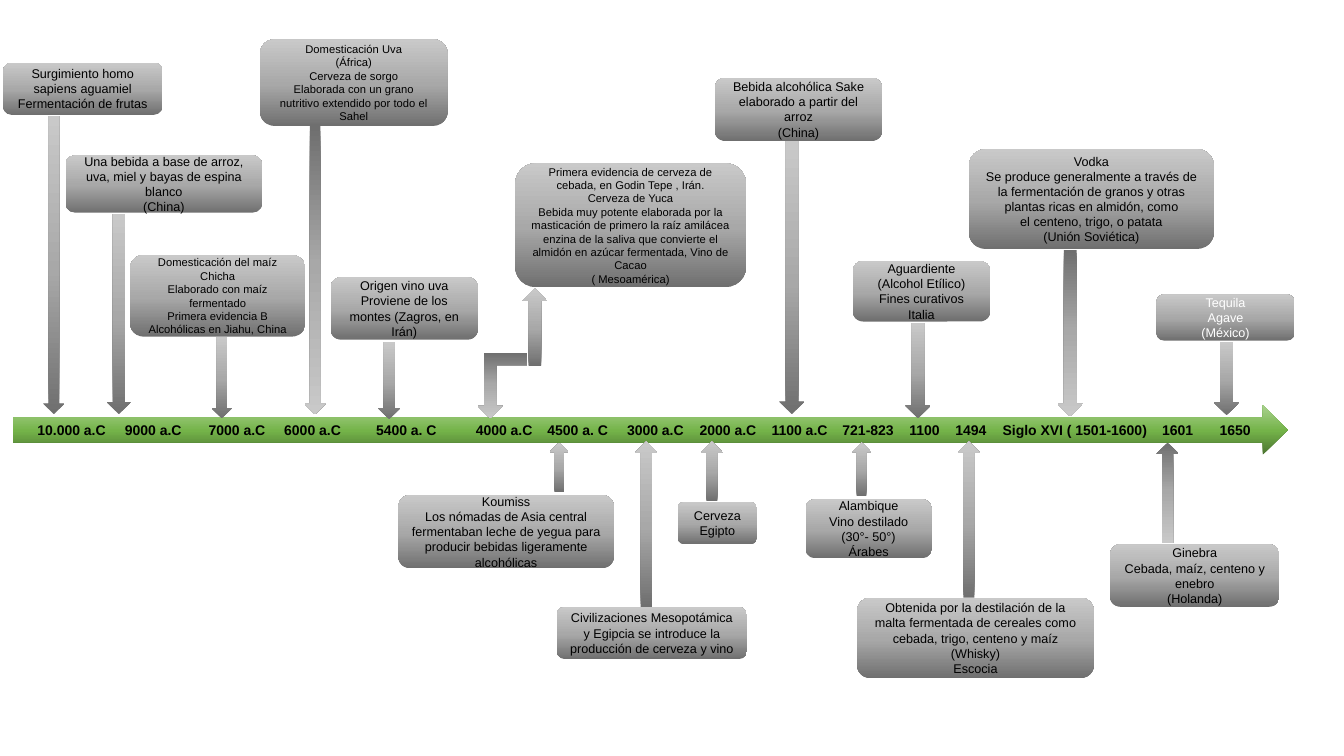
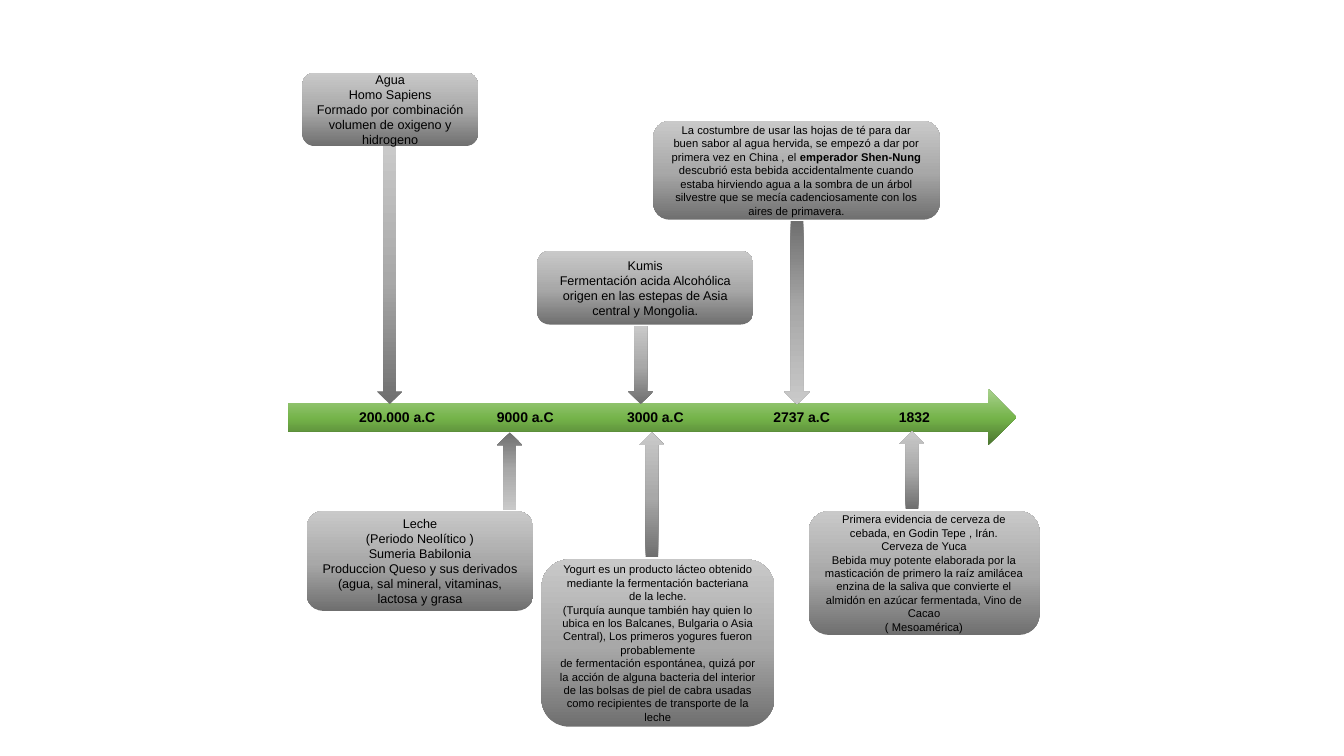
from copy import deepcopy

from lxml import etree
from pptx import Presentation
from pptx.dml.color import RGBColor
from pptx.enum.shapes import MSO_SHAPE
from pptx.enum.text import MSO_ANCHOR, PP_ALIGN
from pptx.oxml.ns import qn
from pptx.util import Inches, Pt

BOX = MSO_SHAPE.ROUNDED_RECTANGLE
AXIS = MSO_SHAPE.RIGHT_ARROW
DOWN = MSO_SHAPE.DOWN_ARROW
UP = MSO_SHAPE.UP_ARROW
BENT = MSO_SHAPE.BENT_UP_ARROW
MIDDLE = MSO_ANCHOR.MIDDLE
CENTER, LEFT = PP_ALIGN.CENTER, PP_ALIGN.LEFT

FONT = "Arial"
BLACK, WHITE = "000000", "FFFFFF"
GREEN = [(0, "4B7430"), (0.48, "74B349"), (1, "A9D18E")]
GRAY = [(0, "6F6F6F"), (0.48, "A8A8A8"), (1, "C9C9C9")]
NBSP = chr(160)

YUCA_BEER = [
    "Primera evidencia de cerveza de cebada, en Godin Tepe , Irán.",
    "Cerveza de Yuca",
    "Bebida muy potente elaborada por la masticación de primero la raíz amilácea "
    "enzina de la saliva que convierte el almidón en azúcar fermentada, Vino de Cacao",
    "( Mesoamérica)",
]

# Axis: left, top, width, height. Dates: centre from the slide's left edge, label.
# Arrows: shape, left, top, width, height, rotation.
# Boxes: left, top, width, height, text size, paragraphs (*bold*), optional colour.
ALCOHOL = {
    "axis": (0.13, 4.02, 12.64, 0.49),
    "dates": [
        (0.71, "10.000 a.C"), (1.52, "9000 a.C"), (2.35, "7000 a.C"),
        (3.1, "6000 a.C"), (4.03, "5400 a. C"), (5, "4000 a.C"),
        (5.73, "4500 a. C"), (6.5, "3000 a.C"), (7.22, "2000 a.C"),
        (7.93, "1100 a.C"), (8.61, "721-823"), (9.17, "1100"), (9.63, "1494"),
        (10.66, "Siglo XVI ( 1501-1600)"), (11.68, "1601"), (12.25, "1650"),
    ],
    "arrows": [
        (DOWN, 0.43, 1.15, 0.21, 2.96, 0),
        (DOWN, 1.06, 2.12, 0.24, 1.99, 0),
        (DOWN, 2.1, 3.34, 0.2, 0.81, 0),
        (UP, 3.02, 1.25, 0.21, 2.86, 180),
        (DOWN, 3.75, 3.39, 0.22, 0.77, 0),
        (UP, 5.18, 2.86, 0.25, 0.77, 0),
        (BENT, 4.74, 3.5, 0.49, 0.65, 180),
        (DOWN, 7.73, 1.4, 0.25, 2.71, 0),
        (DOWN, 8.98, 3.2, 0.25, 0.95, 0),
        (UP, 10.49, 2.48, 0.25, 1.65, 180),
        (DOWN, 12.04, 3.39, 0.25, 0.73, 0),
        (UP, 5.45, 4.39, 0.19, 0.49, 0),
        (UP, 6.3, 4.38, 0.22, 1.64, 0),
        (UP, 6.95, 4.38, 0.22, 0.59, 0),
        (UP, 8.45, 4.39, 0.19, 0.53, 0),
        (UP, 9.5, 4.38, 0.22, 1.55, 0),
        (DOWN, 11.47, 4.39, 0.22, 1, 180),
    ],
    "boxes": [
        (0.03, 0.62, 1.58, 0.52, 9,
         ["Surgimiento homo sapiens aguamiel", "Fermentación de frutas"]),
        (0.65, 1.54, 1.95, 0.57, 9,
         ["Una bebida a base de arroz, uva, miel y bayas de espina blanco", "(China)"]),
        (1.29, 2.53, 1.74, 0.81, 8,
         ["Domesticación del maíz", "Chicha", "Elaborado con maíz fermentado",
          "Primera evidencia B Alcohólicas en Jiahu, China"]),
        (2.58, 0.39, 1.86, 0.86, 8,
         ["Domesticación Uva", "(África)", "Cerveza de sorgo",
          "Elaborada con un grano nutritivo extendido por todo el Sahel"]),
        (3.28, 2.75, 1.46, 0.62, 9,
         ["Origen vino uva", "Proviene de los montes (Zagros, en Irán)"]),
        (5.11, 1.62, 2.29, 1.23, 8, YUCA_BEER),
        (7.09, 0.77, 1.66, 0.63, 9,
         ["Bebida alcohólica Sake elaborado a partir del arroz", "(China)"]),
        (8.46, 2.59, 1.36, 0.6, 9,
         ["Aguardiente (Alcohol Etílico)", "Fines curativos", "Italia"]),
        (9.61, 1.48, 2.43, 0.99, 9,
         ["Vodka",
          "Se produce generalmente a través de la fermentación de granos y otras "
          f"plantas ricas en almidón, como el{NBSP}centeno, trigo, o patata",
          "(Unión Soviética)"]),
        (11.47, 2.92, 1.37, 0.46, 9, ["Tequila", "Agave", "(México)"], WHITE),
        (3.95, 4.91, 2.14, 0.73, 9,
         ["Koumiss",
          "Los nómadas de Asia central fermentaban leche de yegua para producir "
          "bebidas ligeramente alcohólicas"]),
        (5.52, 6.02, 1.89, 0.52, 9,
         ["Civilizaciones Mesopotámica y Egipcia se introduce la producción de "
          "cerveza y vino"]),
        (6.72, 4.98, 0.79, 0.42, 9, ["Cerveza Egipto"]),
        (7.99, 4.95, 1.25, 0.59, 9,
         ["Alambique", "Vino destilado (30°- 50°)", "Árabes"]),
        (8.5, 5.93, 2.35, 0.8, 9,
         ["Obtenida por la destilación de la malta fermentada de cereales como "
          "cebada, trigo, centeno y maíz", "(Whisky)", "Escocia"]),
        (11.01, 5.4, 1.68, 0.62, 9,
         ["Ginebra", "Cebada, maíz, centeno y enebro", "(Holanda)"]),
    ],
}

OTHER_DRINKS = {
    "axis": (2.86, 3.86, 7.22, 0.56),
    "dates": [
        (3.94, "200.000 a.C"), (5.21, "9000 a.C"), (6.5, "3000 a.C"),
        (7.95, "2737 a.C"), (9.07, "1832"),
    ],
    "arrows": [
        (DOWN, 3.74, 1.45, 0.25, 2.56, 0),
        (DOWN, 6.23, 3.23, 0.25, 0.78, 0),
        (UP, 7.78, 2.19, 0.25, 1.82, 180),
        (DOWN, 4.93, 4.29, 0.25, 0.77, 180),
        (UP, 6.34, 4.29, 0.25, 1.24, 0),
        (UP, 8.92, 4.28, 0.25, 0.77, 0),
    ],
    "boxes": [
        (3, 0.72, 1.74, 0.73, 9,
         ["Agua", "Homo Sapiens",
          "Formado por combinación volumen de oxigeno y hidrogeno"]),
        (5.33, 2.49, 2.14, 0.73, 9,
         ["Kumis", "Fermentación acida Alcohólica",
          "origen en las estepas de Asia central y Mongolia."]),
        (6.48, 1.2, 2.84, 0.98, 8,
         ["La costumbre de usar las hojas de té para dar buen sabor al agua hervida, "
          "se empezó a dar por primera vez en China , el *emperador Shen-Nung* "
          "descubrió esta bebida accidentalmente cuando estaba hirviendo agua a la "
          "sombra de un árbol silvestre que se mecía cadenciosamente con los aires "
          "de primavera."]),
        (3.04, 5.07, 2.25, 0.99, 9,
         ["Leche", "(Periodo Neolítico )", "Sumeria Babilonia",
          "Produccion Queso y sus derivados",
          "(agua, sal mineral, vitaminas, lactosa y grasa"]),
        (5.37, 5.55, 2.31, 1.66, 8,
         ["Yogurt es un producto lácteo obtenido mediante la fermentación "
          "bacteriana de la leche.",
          "(Turquía aunque también hay quien lo ubica en los Balcanes, Bulgaria o "
          "Asia Central), Los primeros yogures fueron probablemente "
          f"de{NBSP}fermentación{NBSP}espontánea, quizá por la acción de alguna "
          "bacteria del interior de las bolsas de piel de cabra usadas como "
          "recipientes de transporte de la leche"]),
        (8.02, 5.07, 2.29, 1.23, 8, YUCA_BEER),
    ],
}


def rgb(color):
    return RGBColor.from_string(color)


def fill_gradient(sp, stops):
    """Fill the shape from bottom to top with (position, colour) stops."""
    sp.fill.gradient()
    sp.fill.gradient_angle = 90
    gs_list = sp.fill._fill._gradFill.find(qn("a:gsLst"))
    while len(gs_list) < len(stops):
        gs_list.append(deepcopy(gs_list[0]))
    for stop, (position, color) in zip(sp.fill.gradient_stops, stops):
        stop.position = position
        stop.color.rgb = rgb(color)


def add_shape(s, kind, left, top, width, height, stops=GRAY, rotation=0):
    sp = s.shapes.add_shape(kind, *(Inches(v) for v in (left, top, width, height)))
    sp.rotation = rotation
    sp.shadow.inherit = False
    sp.line.fill.background()
    fill_gradient(sp, stops)
    return sp


def add_run(p, text, size, color=BLACK, bold=False):
    r = p.add_run()
    r.text = text
    for name, value in {"name": FONT, "size": Pt(size), "bold": bold}.items():
        setattr(r.font, name, value)
    r.font.color.rgb = rgb(color)


def add_axis(s, area, dates):
    """Draw the time arrow with its dates on centred tab stops."""
    tf = add_shape(s, AXIS, *area, stops=GREEN).text_frame
    for name, value in {"word_wrap": True, "vertical_anchor": MIDDLE,
                        "margin_left": 0, "margin_right": 0}.items():
        setattr(tf, name, value)
    p = tf.paragraphs[0]
    p.alignment = LEFT
    tabs = etree.SubElement(p._p.get_or_add_pPr(), qn("a:tabLst"))
    for center, _ in dates:
        etree.SubElement(tabs, qn("a:tab"), pos=str(Inches(center - area[0])), algn="ctr")
    add_run(p, "".join(f"\t{label}" for _, label in dates), 10, bold=True)


def add_box(s, left, top, width, height, size, paragraphs, color=BLACK):
    tf = add_shape(s, BOX, left, top, width, height).text_frame
    tf.word_wrap = True
    tf.vertical_anchor = MIDDLE
    for i, text in enumerate(paragraphs):
        p = tf.add_paragraph() if i else tf.paragraphs[0]
        p.alignment = CENTER
        for j, part in enumerate(text.split("*")):
            add_run(p, part, size, color, bold=j % 2 == 1)


def add_timeline(prs, timeline):
    s = prs.slides.add_slide(prs.slide_layouts[6])
    add_axis(s, timeline["axis"], timeline["dates"])
    for kind, left, top, width, height, rotation in timeline["arrows"]:
        add_shape(s, kind, left, top, width, height, rotation=rotation)
    for box in timeline["boxes"]:
        add_box(s, *box)


def main():
    prs = Presentation()
    prs.slide_width, prs.slide_height = Inches(13.33), Inches(7.5)
    for timeline in (ALCOHOL, OTHER_DRINKS):
        add_timeline(prs, timeline)
    prs.save("out.pptx")


if __name__ == "__main__":
    main()
